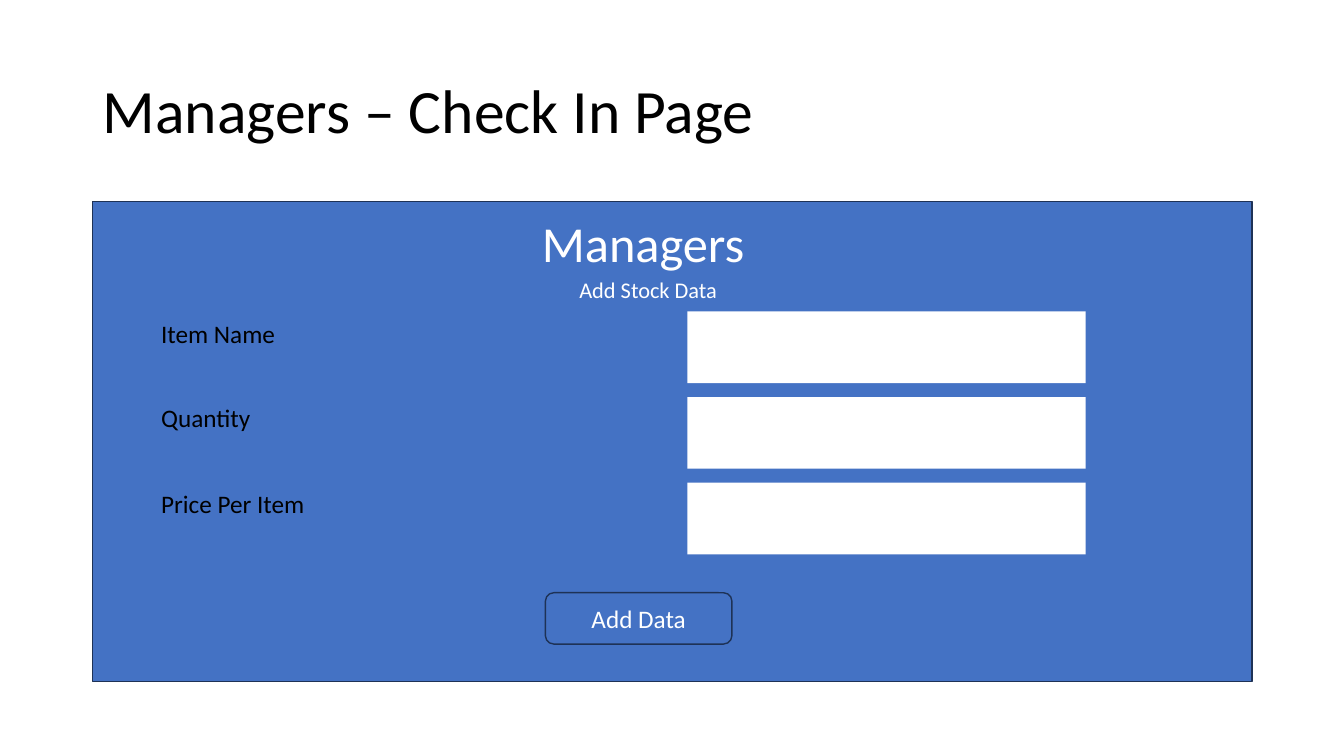
"""Build the Managers check-in page slide; lengths are percentages of the slide's size."""
from dataclasses import dataclass
from typing import Optional

from pptx import Presentation
from pptx.dml.color import RGBColor
from pptx.enum.shapes import MSO_SHAPE
from pptx.enum.text import MSO_ANCHOR, PP_ALIGN
from pptx.util import Inches, Pt

WHITE = RGBColor(0xFF, 0xFF, 0xFF)
BLACK = RGBColor(0x00, 0x00, 0x00)
BLUE = RGBColor(0x44, 0x72, 0xC4)
NAVY = RGBColor(0x1E, 0x32, 0x56)

WIDTH, HEIGHT = Inches(13.33), Inches(7.5)
FONT = "Calibri"
FIELD_TOP, FIELD_STEP = 41.2, 11.33


@dataclass(frozen=True)
class Area:
    left: float
    top: float
    width: float
    height: float

    def emu(self) -> tuple[int, int, int, int]:
        return (int(WIDTH * self.left / 100), int(HEIGHT * self.top / 100),
                int(WIDTH * self.width / 100), int(HEIGHT * self.height / 100))


@dataclass(frozen=True)
class Box:
    area: Area
    kind: MSO_SHAPE = MSO_SHAPE.ROUNDED_RECTANGLE
    fill: Optional[RGBColor] = BLUE
    line: Optional[RGBColor] = None
    text: str = ""
    size: int = 18


@dataclass(frozen=True)
class Label:
    area: Area
    text: str
    size: int = 18
    anchor: MSO_ANCHOR = MSO_ANCHOR.TOP
    spacing: float = 1.0


TITLE = Label(Area(6.9, 5.33, 86.25, 19.33), "Managers – Check In Page", 44,
              MSO_ANCHOR.MIDDLE, 0.9)
PANEL = Box(Area(6.9, 26.67, 86.25, 63.47), MSO_SHAPE.RECTANGLE, line=NAVY)
HEADING = Box(Area(30.83, 27.33, 34.05, 9.47), text="Managers", size=36)
BUTTON = Box(Area(40.58, 78.4, 13.88, 6.8), line=NAVY, text="Add Data")
SUBHEADING = Box(Area(31.2, 35.2, 34.05, 6.27), fill=None, text="Add Stock Data", size=16)
FIELDS = [("Item Name", 41.47), ("Quantity", 52.53), ("Price Per Item", 63.87)]


def write(sp, text: str, size: int, color: RGBColor, align: PP_ALIGN,
          anchor: MSO_ANCHOR, spacing: float = 1.0) -> None:
    tf = sp.text_frame
    tf.word_wrap = True
    tf.vertical_anchor = anchor
    p = tf.paragraphs[0]
    p.text = text
    p.alignment = align
    p.line_spacing = spacing
    p.font.name, p.font.size = FONT, Pt(size)
    p.font.color.rgb = color


def draw_box(shapes, box: Box) -> None:
    sp = shapes.add_shape(box.kind, *box.area.emu())
    sp.shadow.inherit = False
    if box.fill is None:
        sp.fill.background()
    else:
        sp.fill.solid()
        sp.fill.fore_color.rgb = box.fill
    if box.line is None:
        sp.line.fill.background()
    else:
        sp.line.color.rgb = box.line
        sp.line.width = Pt(1)
    if box.text:
        write(sp, box.text, box.size, WHITE, PP_ALIGN.CENTER, MSO_ANCHOR.MIDDLE)


def draw_label(shapes, label: Label) -> None:
    sp = shapes.add_textbox(*label.area.emu())
    write(sp, label.text, label.size, BLACK, PP_ALIGN.LEFT, label.anchor, label.spacing)


def main() -> None:
    prs = Presentation()
    prs.slide_width, prs.slide_height = WIDTH, HEIGHT
    shapes = prs.slides.add_slide(prs.slide_layouts[6]).shapes

    draw_label(shapes, TITLE)
    draw_box(shapes, PANEL)
    for row in range(len(FIELDS)):
        area = Area(51.15, FIELD_TOP + row * FIELD_STEP, 29.63, 9.47)
        draw_box(shapes, Box(area, MSO_SHAPE.RECTANGLE, WHITE))
    draw_box(shapes, HEADING)
    for text, top in FIELDS:
        draw_label(shapes, Label(Area(11.25, top, 34.05, 5.33), text))
    for box in (BUTTON, SUBHEADING):
        draw_box(shapes, box)

    prs.save("out.pptx")


if __name__ == "__main__":
    main()
